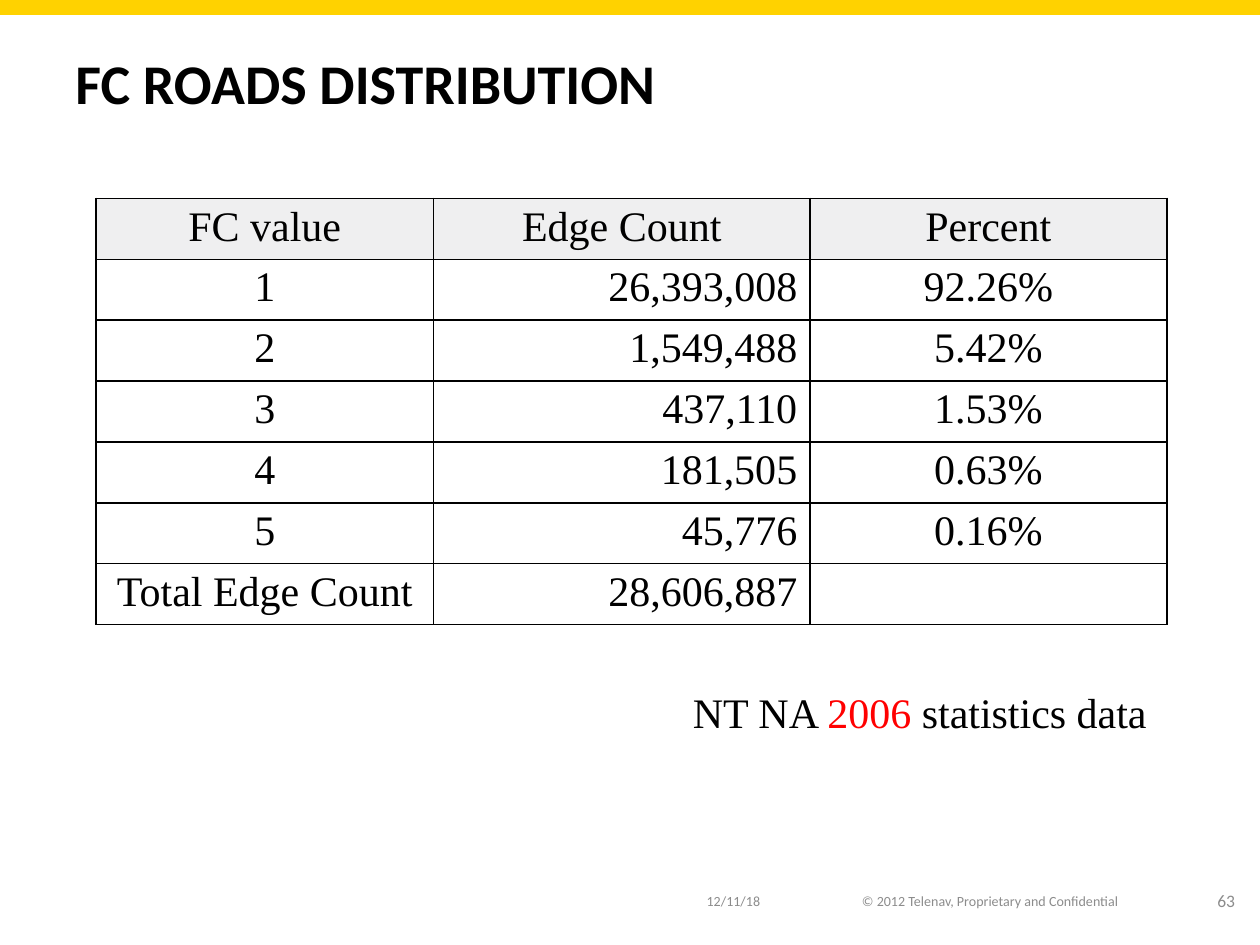
import pptx
import pptx.dml.color
import pptx.enum.shapes
import pptx.enum.text
import pptx.oxml
import pptx.oxml.ns
import pptx.util

Pt = pptx.util.Pt
ALIGN = pptx.enum.text.PP_ALIGN
ANCHOR = pptx.enum.text.MSO_ANCHOR

SERIF, SANS = "Times New Roman", "Calibri"
BLACK, GRAY, RED = "000000", "8C8C8C", "FF0000"
YELLOW, HEADER_GRAY = "FFD200", "EFEFF0"

FC_ROWS = [
    ("FC value", "Edge Count", "Percent"),
    ("1", "26,393,008", "92.26%"),
    ("2", "1,549,488", "5.42%"),
    ("3", "437,110", "1.53%"),
    ("4", "181,505", "0.63%"),
    ("5", "45,776", "0.16%"),
    ("Total Edge Count", "28,606,887", ""),
]
COLUMN_WIDTHS = [193, 215, 204]
ROW_HEIGHT = 33.8


def rgb(hex_color):
    return pptx.dml.color.RGBColor.from_string(hex_color)


def format_font(font, name, size, color, bold=False):
    font.name = name
    font.size = Pt(size)
    font.bold = bold
    font.color.rgb = rgb(color)


def add_top_band(slide):
    band = slide.shapes.add_shape(
        pptx.enum.shapes.MSO_SHAPE.RECTANGLE, 0, 0, Pt(720), Pt(8))
    band.shadow.inherit = False
    band.fill.solid()
    band.fill.fore_color.rgb = rgb(YELLOW)
    band.line.color.rgb = rgb(YELLOW)
    band.line.width = Pt(0.75)


def add_text(slide, box, pieces, name, size, align=ALIGN.LEFT,
             anchor=ANCHOR.MIDDLE, bold=False, wrap=True):
    """Add one line of text made of (wording, color) pieces."""
    frame = slide.shapes.add_textbox(*map(Pt, box)).text_frame
    frame.word_wrap = wrap
    frame.vertical_anchor = anchor
    paragraph = frame.paragraphs[0]
    paragraph.alignment = align
    for wording, color in pieces:
        run = paragraph.add_run()
        run.text = wording
        format_font(run.font, name, size, color, bold)


def add_cell_borders(cell):
    properties = cell._tc.get_or_add_tcPr()
    for position, side in enumerate(("lnL", "lnR", "lnT", "lnB")):
        border = pptx.oxml.parse_xml(
            f'<a:{side} {pptx.oxml.ns.nsdecls("a")} w="12700"><a:solidFill>'
            f'<a:srgbClr val="{BLACK}"/></a:solidFill></a:{side}>')
        properties.insert(position, border)


def format_cell(cell, wording, align, is_header):
    cell.margin_top = cell.margin_bottom = Pt(3)
    if is_header:
        cell.fill.solid()
        cell.fill.fore_color.rgb = rgb(HEADER_GRAY)
    else:
        cell.fill.background()
    add_cell_borders(cell)
    cell.text_frame.text = wording
    paragraph = cell.text_frame.paragraphs[0]
    paragraph.alignment = align
    for run in paragraph.runs:
        format_font(run.font, SERIF, 24, BLACK)


def add_fc_table(slide):
    fc_table = slide.shapes.add_table(
        len(FC_ROWS), len(COLUMN_WIDTHS), Pt(54.8), Pt(113.4),
        Pt(sum(COLUMN_WIDTHS)), Pt(ROW_HEIGHT * len(FC_ROWS))).table
    fc_table.horz_banding = False
    fc_table.first_row = False
    for column, width in zip(fc_table.columns, COLUMN_WIDTHS):
        column.width = Pt(width)
    for r, values in enumerate(FC_ROWS):
        fc_table.rows[r].height = Pt(ROW_HEIGHT)
        for c, wording in enumerate(values):
            is_count = r > 0 and c == 1
            align = ALIGN.RIGHT if is_count else ALIGN.CENTER
            format_cell(fc_table.cell(r, c), wording, align, r == 0)


def main():
    deck = pptx.Presentation()
    deck.slide_width, deck.slide_height = Pt(720), Pt(540)
    slide = deck.slides.add_slide(deck.slide_layouts[6])

    # Band and title
    add_top_band(slide)
    add_text(slide, (36, 21.6, 676.8, 48.2), [("FC ROADS DISTRIBUTION", BLACK)],
             SANS, 32, anchor=ANCHOR.BOTTOM, bold=True)

    # Edge counts per FC value, with the data source below
    add_fc_table(slide)
    add_text(slide, (387.4, 388.8, 276.5, 36),
             [("NT NA ", BLACK), ("2006", RED), (" statistics data", BLACK)],
             SERIF, 24, ALIGN.CENTER, ANCHOR.TOP, wrap=False)

    # Footer: date, copyright, page number
    for left, width, wording, size, align in [
        (396.7, 56.9, "12/11/18", 8, ALIGN.LEFT),
        (483.1, 165.6, "© 2012 Telenav, Proprietary and Confidential", 8,
         ALIGN.CENTER),
        (681.8, 31, "63", 10, ALIGN.RIGHT),
    ]:
        add_text(slide, (left, 500.4, width, 28.8), [(wording, GRAY)],
                 SANS, size, align)

    deck.save("out.pptx")


if __name__ == "__main__":
    main()
